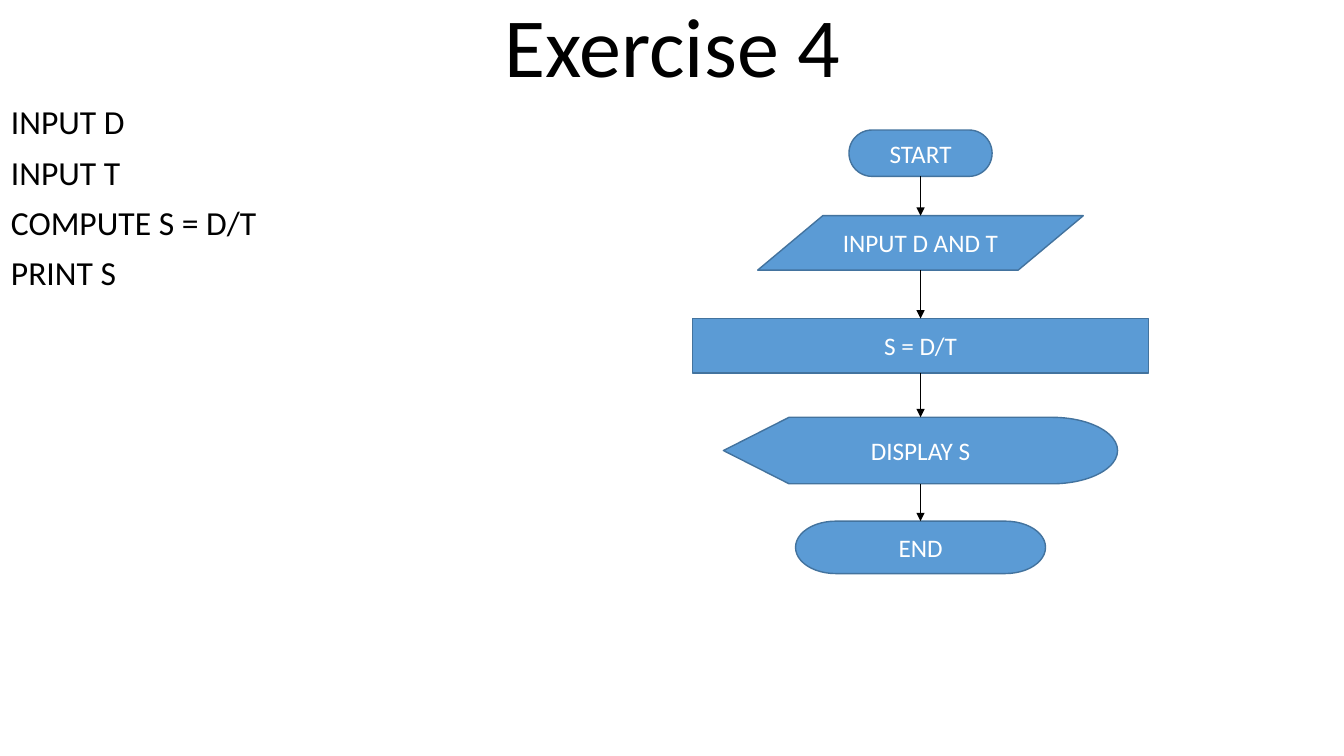
from itertools import pairwise

from lxml.etree import SubElement
from pptx import Presentation
from pptx.dml.color import RGBColor
from pptx.enum.shapes import MSO_CONNECTOR, MSO_SHAPE
from pptx.enum.text import MSO_ANCHOR, PP_ALIGN
from pptx.oxml.ns import qn
from pptx.util import Inches, Pt

BLACK = RGBColor(0x00, 0x00, 0x00)
WHITE = RGBColor(0xFF, 0xFF, 0xFF)
BLUE = RGBColor(0x5B, 0x9B, 0xD5)
DARK_BLUE = RGBColor(0x43, 0x73, 0x9E)
FONT = "Calibri"

PSEUDOCODE = ["INPUT D", "INPUT T", "COMPUTE S = D/T", "PRINT S"]

# Shape, text, top offset within the flowchart, width, height
STEPS = [
    (MSO_SHAPE.FLOWCHART_TERMINATOR, "START", 0, 1.42, 0.46),
    (MSO_SHAPE.FLOWCHART_DATA, "INPUT D AND T", 0.85, 3.23, 0.54),
    (MSO_SHAPE.RECTANGLE, "S = D/T", 1.87, 4.52, 0.54),
    (MSO_SHAPE.FLOWCHART_DISPLAY, "DISPLAY S", 2.85, 3.91, 0.66),
    (MSO_SHAPE.FLOWCHART_TERMINATOR, "END", 3.88, 2.48, 0.52),
]


def set_font(p, size, color):
    p.font.name = FONT
    p.font.size = Pt(size)
    p.font.color.rgb = color


def add_text(s, left, top, width, height, lines, size, align, anchor, before=0):
    box = s.shapes.add_textbox(Inches(left), Inches(top), Inches(width), Inches(height))
    tf = box.text_frame
    tf.word_wrap = True
    tf.vertical_anchor = anchor
    tf.text = "\n".join(lines)
    for p in tf.paragraphs:
        p.alignment = align
        p.line_spacing = 0.9
        p.space_before = Pt(before)
        set_font(p, size, BLACK)


def add_step(s, kind, text, left, top, width, height):
    sp = s.shapes.add_shape(kind, Inches(left), Inches(top), Inches(width), Inches(height))
    sp.shadow.inherit = False
    sp.fill.solid()
    sp.fill.fore_color.rgb = BLUE
    sp.line.color.rgb = DARK_BLUE
    sp.line.width = Pt(1)
    tf = sp.text_frame
    tf.text = text
    tf.vertical_anchor = MSO_ANCHOR.MIDDLE
    p = tf.paragraphs[0]
    p.alignment = PP_ALIGN.CENTER
    set_font(p, 18, WHITE)


def add_down_arrow(s, x, start, end):
    arrow = s.shapes.add_connector(
        MSO_CONNECTOR.STRAIGHT, Inches(x), Inches(start), Inches(x), Inches(end))
    arrow.line.color.rgb = BLACK
    arrow.line.width = Pt(0.5)
    SubElement(arrow.line._get_or_add_ln(), qn("a:tailEnd"), type="triangle")
    SubElement(arrow._element.spPr, qn("a:effectLst"))


def add_flowchart(s, left, top, width):
    center = left + width / 2
    for kind, text, offset, w, h in STEPS:
        add_step(s, kind, text, center - w / 2, top + offset, w, h)
    # Arrows span the gap between neighbouring steps
    for (_, _, offset, _, h), (_, _, next_offset, _, _) in pairwise(STEPS):
        add_down_arrow(s, center, top + offset + h, top + next_offset)


def main():
    prs = Presentation()
    prs.slide_width = Inches(13.33)
    prs.slide_height = Inches(7.5)
    s = prs.slides.add_slide(prs.slide_layouts[6])
    # Title
    add_text(s, 1.67, 0, 10, 1, ["Exercise 4"], 60, PP_ALIGN.CENTER, MSO_ANCHOR.BOTTOM)
    # Pseudocode on the left
    add_text(s, 0.01, 1, 5.59, 6.5, PSEUDOCODE, 24, PP_ALIGN.LEFT, MSO_ANCHOR.TOP, before=10)
    # Flowchart on the right
    add_flowchart(s, 6.87, 1.29, 4.52)
    prs.save("out.pptx")


if __name__ == "__main__":
    main()
